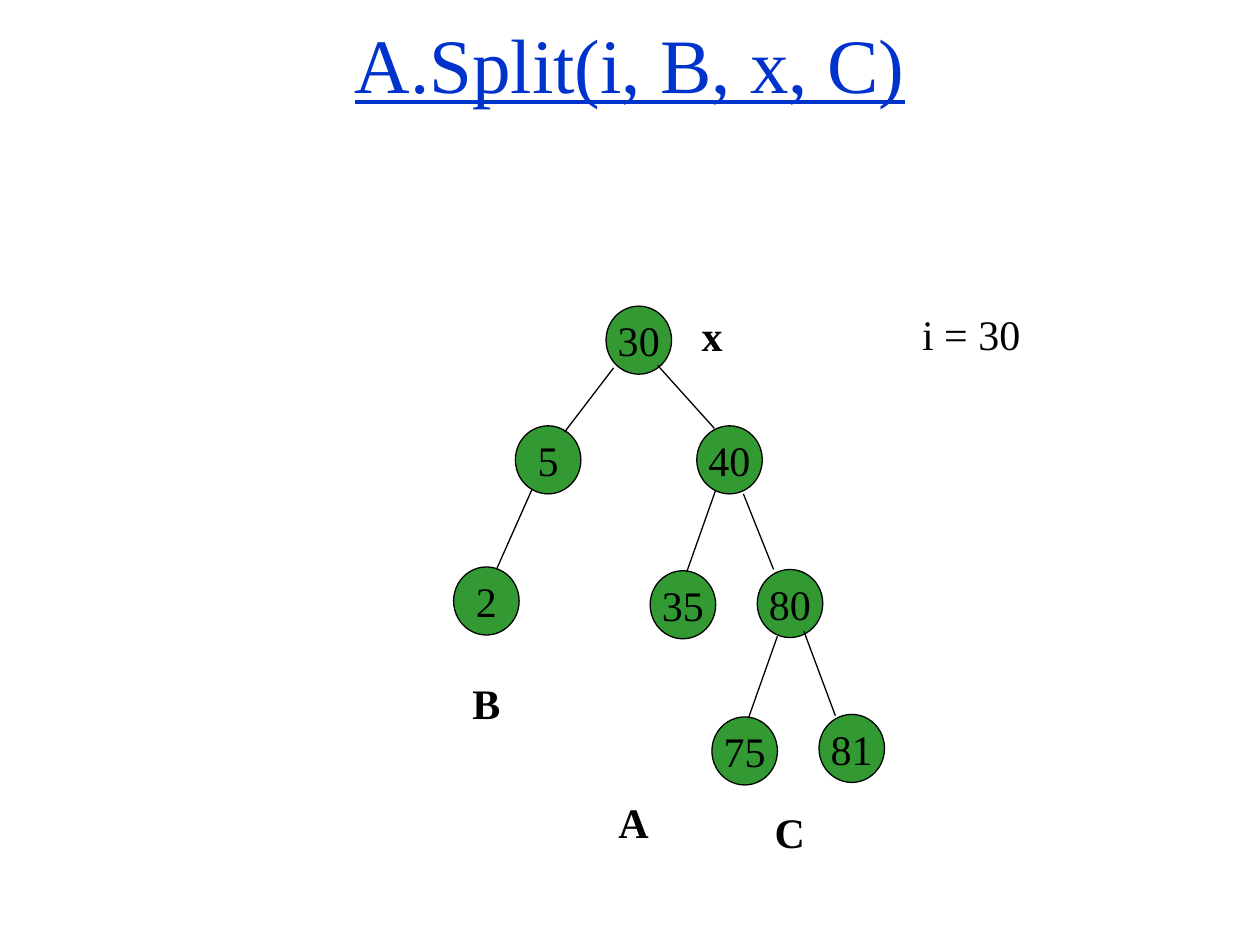
from lxml import etree
from pptx import Presentation
from pptx.dml.color import RGBColor
from pptx.enum import shapes, text
from pptx.oxml.ns import qn
from pptx.util import Inches, Pt

FONT = "Times New Roman"
BLACK, GREEN, BLUE = "000000", "339933", "0033CC"
NODE_W, NODE_H = 0.52, 0.54
LABEL_H = 0.5

TITLE = "A.Split(i, B, x, C)"

# Tree nodes: key, left, top
NODES = [
    ("30", 4.81, 2.43),
    ("5", 4.09, 3.38),
    ("40", 5.53, 3.38),
    ("2", 3.6, 4.5),
    ("35", 5.16, 4.53),
    ("80", 6.01, 4.52),
    ("75", 5.65, 5.69),
    ("81", 6.5, 5.67),
]

# Branches from parent to child: x1, y1, x2, y2
BRANCHES = [
    (4.87, 2.92, 4.48, 3.43),  # 30 - 5
    (5.22, 2.9, 5.67, 3.4),    # 30 - 40
    (4.22, 3.89, 3.94, 4.52),  # 5 - 2
    (5.68, 3.89, 5.45, 4.54),  # 40 - 35
    (5.9, 3.92, 6.14, 4.52),   # 40 - 80
    (6.17, 5.05, 5.94, 5.7),   # 80 - 75
    (6.38, 5.01, 6.63, 5.68),  # 80 - 81
]

# Labels: wording, left, top, width, bold
LABELS = [
    ("x", 5.47, 2.41, 0.49, True),
    ("i = 30", 7.22, 2.4, 1.3, False),
    ("B", 3.65, 5.33, 0.49, True),
    ("A", 4.81, 6.27, 0.49, True),
    ("C", 6.05, 6.35, 0.49, True),
]


def color(hex_string):
    return RGBColor.from_string(hex_string)


def write(shape, wording, size=24, hex_string=BLACK, centred=False, wrap=True):
    """Fill a shape with one paragraph and return its font."""
    frame = shape.text_frame
    frame.word_wrap = wrap
    frame.vertical_anchor = text.MSO_ANCHOR.MIDDLE if centred else text.MSO_ANCHOR.TOP
    paragraph = frame.paragraphs[0]
    paragraph.text = wording
    paragraph.alignment = text.PP_ALIGN.CENTER if centred else text.PP_ALIGN.LEFT
    font = paragraph.font
    font.name, font.size = FONT, Pt(size)
    font.color.rgb = color(hex_string)
    return font


def outline(shape):
    shape.line.color.rgb = color(BLACK)
    shape.line.width = Pt(0.75)


prs = Presentation()
prs.slide_width, prs.slide_height = Inches(10), Inches(7.5)
slide = prs.slides.add_slide(prs.slide_layouts[6])

# Title
title = slide.shapes.add_textbox(0, 0, Inches(10), Inches(1))
write(title, TITLE, 44, BLUE, centred=True).underline = True

# Tree nodes
for key, left, top in NODES:
    node = slide.shapes.add_shape(
        shapes.MSO_SHAPE.OVAL,
        Inches(left), Inches(top), Inches(NODE_W), Inches(NODE_H))
    node.shadow.inherit = False
    node.fill.solid()
    node.fill.fore_color.rgb = color(GREEN)
    outline(node)
    write(node, key, centred=True, wrap=False)

# Branches
for ends in BRANCHES:
    branch = slide.shapes.add_connector(
        shapes.MSO_CONNECTOR.STRAIGHT, *(Inches(end) for end in ends))
    outline(branch)
    etree.SubElement(branch._element.spPr, qn("a:effectLst"))

# Labels
for wording, left, top, width, bold in LABELS:
    label = slide.shapes.add_textbox(
        Inches(left), Inches(top), Inches(width), Inches(LABEL_H))
    write(label, wording).bold = bold
    label.text_frame.auto_size = text.MSO_AUTO_SIZE.SHAPE_TO_FIT_TEXT

prs.save("out.pptx")
